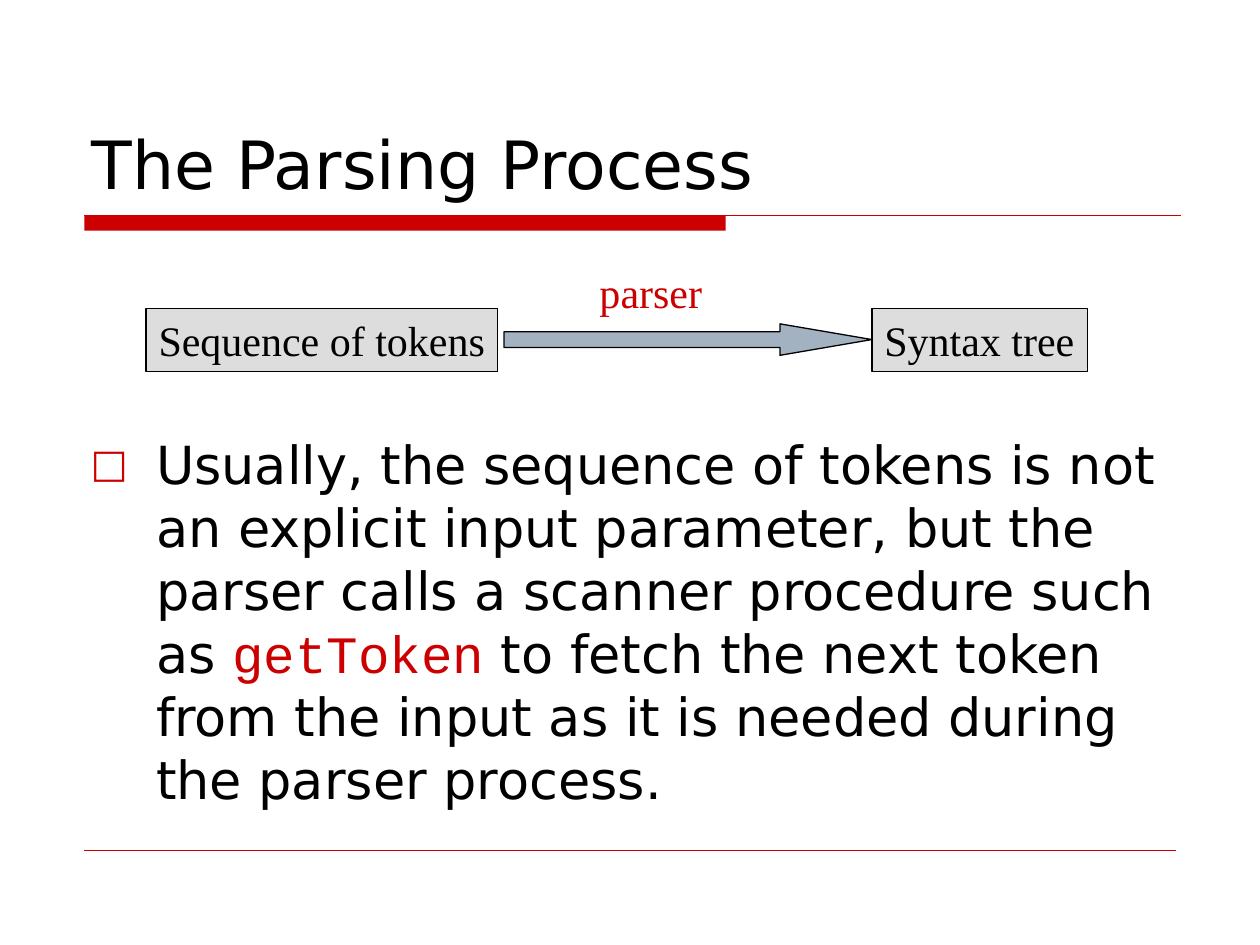
"""Build the slide on the parsing process."""
import pptx
import pptx.dml.color
import pptx.enum.shapes
import pptx.enum.text
import pptx.oxml
import pptx.oxml.ns
import pptx.util

Inches, Pt = pptx.util.Inches, pptx.util.Pt
SHAPE = pptx.enum.shapes.MSO_SHAPE
ANCHOR = pptx.enum.text.MSO_ANCHOR
FIT = pptx.enum.text.MSO_AUTO_SIZE
LEFT = pptx.enum.text.PP_ALIGN.LEFT
SANS, SERIF, MONO = "DejaVu Sans", "Times New Roman", "Courier New"
BLACK, RED, GREY, STEEL = "000000", "CC0000", "DDDDDD", "A3B2C1"

TITLE = "The Parsing Process"
BODY = [
    ("Usually, the sequence of tokens is not an explicit input parameter, "
     "but the parser calls a scanner procedure such as ", SANS, BLACK),
    ("getToken", MONO, RED),
    (" to fetch the next token from the input as it is needed during "
     "the parser process.", SANS, BLACK),
]
BOXES = [("Sequence of tokens", 1.16, 2.79), ("Syntax tree", 6.92, 1.71)]
RULES = [(1.71, 9.37, 1), (6.75, 9.33, 0.25)]


def color(value):
    return pptx.dml.color.RGBColor.from_string(value)


def style(r, font, size, value):
    r.font.name, r.font.size = font, Pt(size)
    r.font.color.rgb = color(value)


def add_shape(s, kind, at, fill, line=BLACK):
    sp = s.shapes.add_shape(kind, *map(Inches, at))
    sp.shadow.inherit = False
    sp.fill.solid()
    sp.fill.fore_color.rgb = color(fill)
    if line:
        sp.line.color.rgb = color(line)
        sp.line.width = Pt(0.75)
    else:
        sp.line.fill.background()
    return sp


def add_rule(s, y, right, width):
    line = s.shapes.add_connector(
        pptx.enum.shapes.MSO_CONNECTOR.STRAIGHT,
        Inches(0.67), Inches(y), Inches(right), Inches(y))
    line.line.color.rgb = color(RED)
    line.line.width = Pt(width)
    line._element.spPr.append(pptx.oxml.parse_xml(
        f'<a:effectLst {pptx.oxml.ns.nsdecls("a")}/>'))


def set_label(sp, text, value):
    tf = sp.text_frame
    tf.text = text
    tf.word_wrap = False
    tf.auto_size = FIT.SHAPE_TO_FIT_TEXT
    tf.vertical_anchor = ANCHOR.TOP
    tf.paragraphs[0].alignment = LEFT
    style(tf.paragraphs[0].runs[0], SERIF, 24, value)


def add_title(s):
    sp = s.shapes.title
    sp.left, sp.top, sp.width, sp.height = map(Inches, (0.63, 0.33, 8.75, 1.33))
    tf = sp.text_frame
    tf.text = TITLE
    tf.auto_size = FIT.NONE
    tf.vertical_anchor = ANCHOR.BOTTOM
    tf.paragraphs[0].alignment = LEFT
    style(tf.paragraphs[0].runs[0], SANS, 38, BLACK)


def add_body(s):
    tf = s.shapes.add_textbox(*map(Inches, (0.62, 3.38, 8.75, 3.2))).text_frame
    tf.word_wrap = True
    p = tf.paragraphs[0]
    p.line_spacing = Pt(36)
    pPr = p._p.get_or_add_pPr()
    pPr.set("marL", str(Inches(0.52)))
    pPr.set("indent", str(Inches(-0.52)))
    ns = pptx.oxml.ns.nsdecls("a")
    for xml in (f'<a:buClr {ns}><a:srgbClr val="{RED}"/></a:buClr>',
                f'<a:buSzPct {ns} val="75000"/>',
                f'<a:buFont {ns} typeface="{SANS}"/>',
                f'<a:buChar {ns} char="□"/>'):
        pPr.append(pptx.oxml.parse_xml(xml))
    for text, font, value in BODY:
        r = p.add_run()
        r.text = text
        style(r, font, 30, value)


def main():
    prs = pptx.Presentation()
    prs.slide_width, prs.slide_height = Inches(10), Inches(7.5)
    s = prs.slides.add_slide(prs.slide_layouts[5])
    add_shape(s, SHAPE.RECTANGLE, (0.67, 1.71, 5.09, 0.12), RED, None)
    for rule in RULES:
        add_rule(s, *rule)
    add_title(s)
    add_body(s)
    for text, left, width in BOXES:
        box = add_shape(s, SHAPE.RECTANGLE, (left, 2.45, width, 0.5), GREY)
        set_label(box, text, BLACK)
    arrow = add_shape(s, SHAPE.RIGHT_ARROW, (4, 2.57, 2.92, 0.25), STEEL)
    arrow.adjustments[0], arrow.adjustments[1] = 0.5, 2.92
    label = s.shapes.add_textbox(*map(Inches, (4.66, 2.07, 1.03, 0.5)))
    set_label(label, "parser", RED)
    prs.save("out.pptx")


if __name__ == "__main__":
    main()
